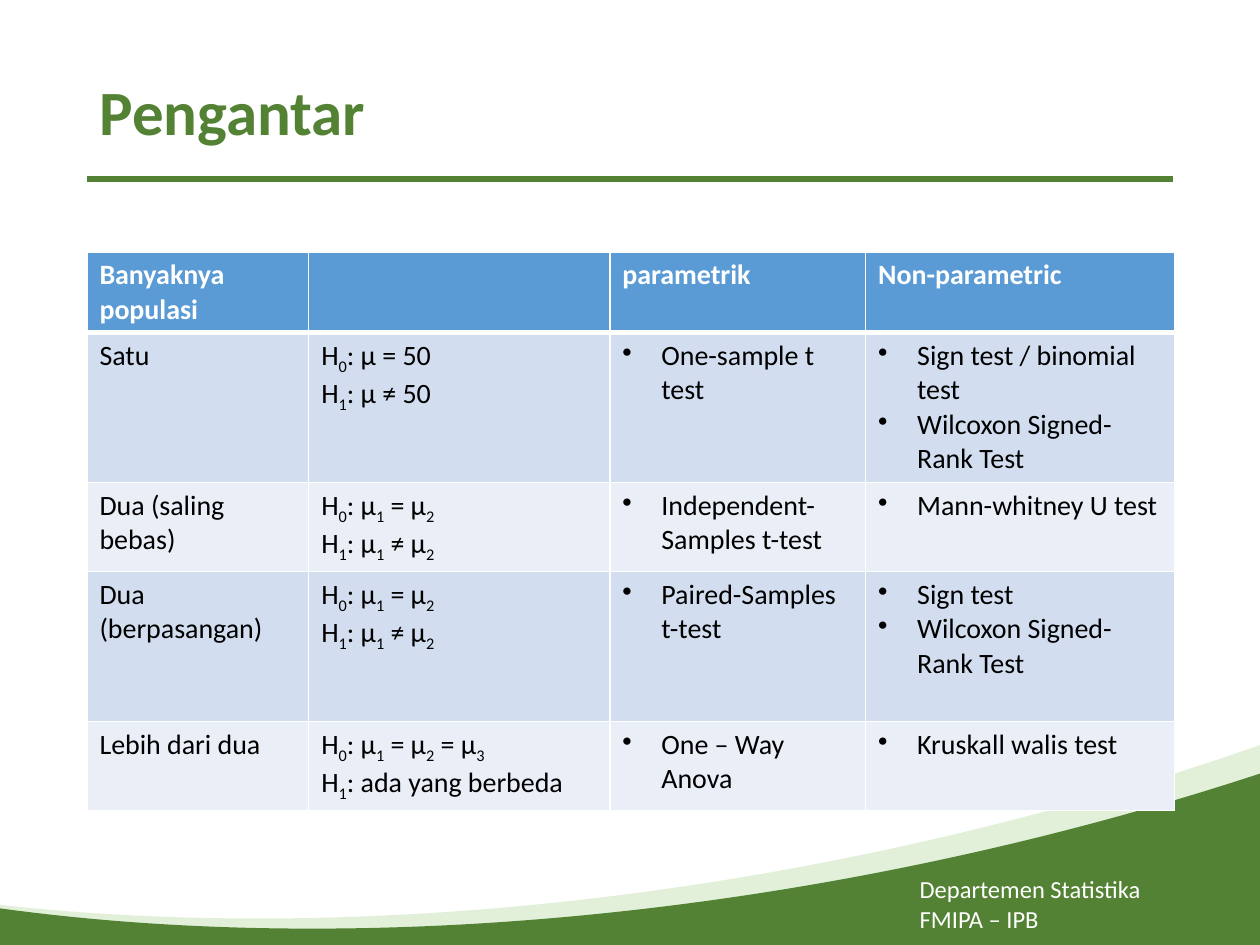
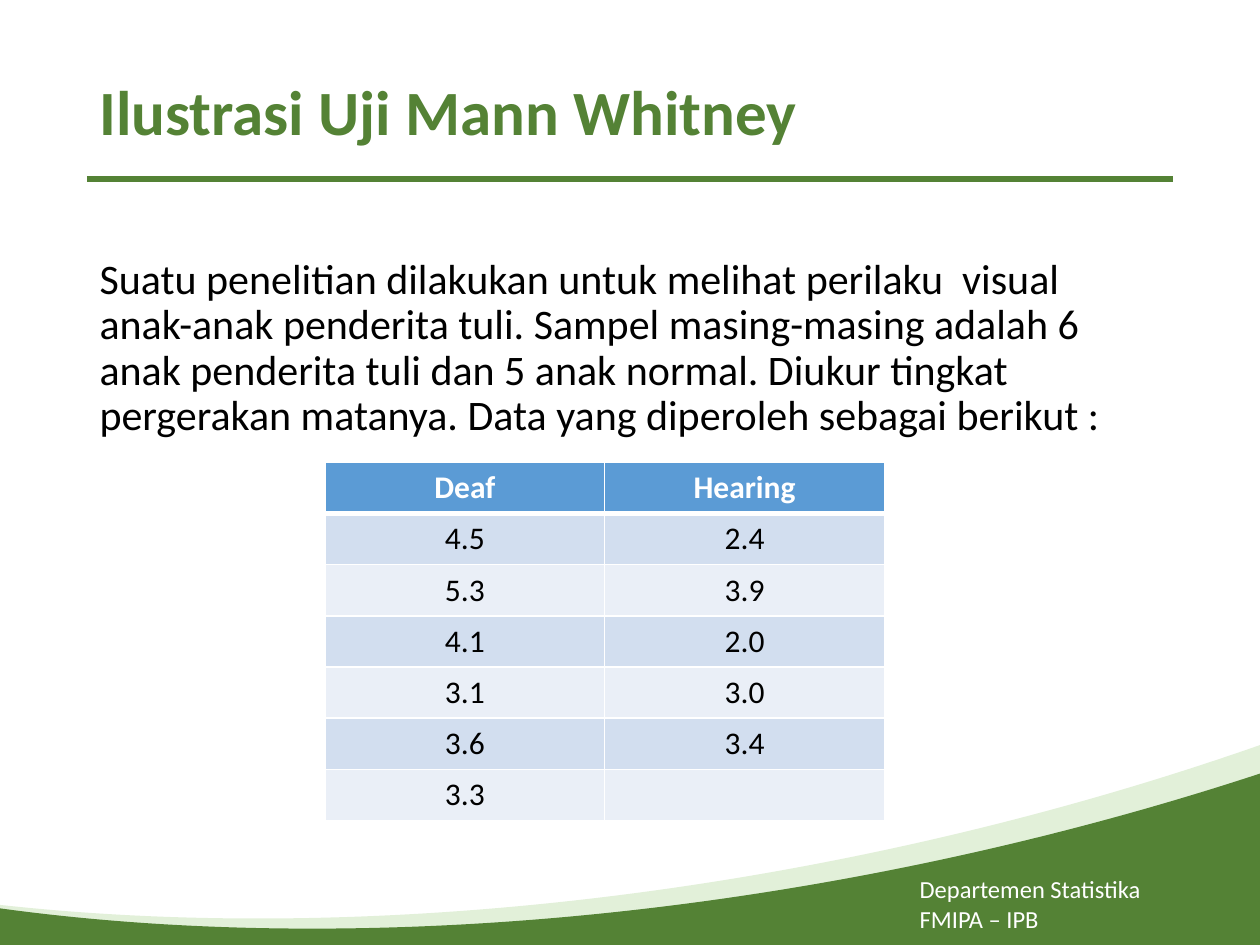
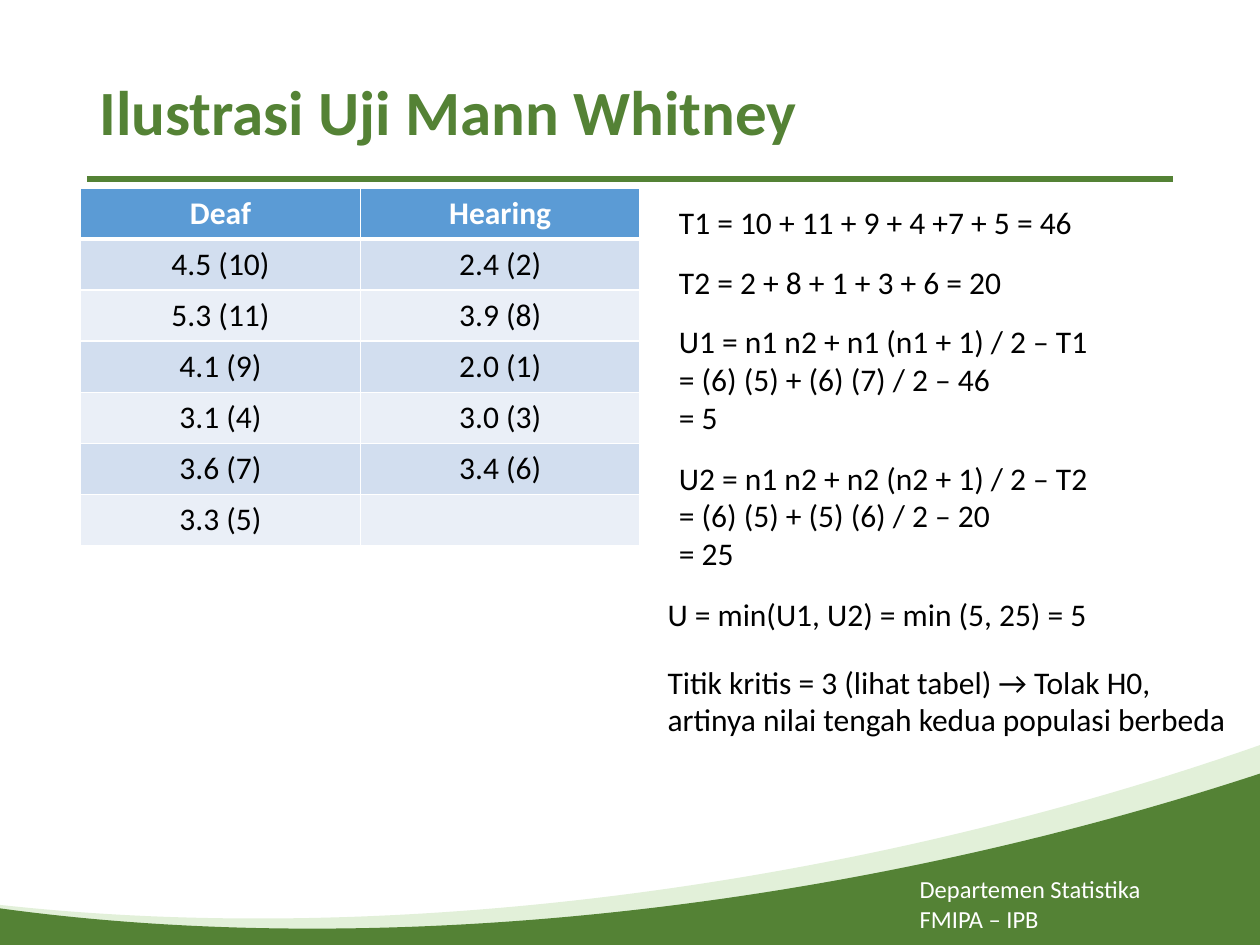
from pptx import Presentation, util as u
from pptx.dml import color
from pptx.enum import shapes, text
from pptx.oxml import ns, xmlchemy

GREEN, PALE, WHITE, BLACK = "548235", "E2F0D9", "FFFFFF", "000000"
HEADER, BANDS = "5B9BD5", ("D2DEEF", "EAEFF7")
FONT = "Calibri"
COLUMNS, ROWS = 100, 75
MARGIN, CONTENT = 6.9, 86.2
BULLET_INDENT = u.Inches(0.31)
SLIDE_SIZE = u.Inches(10), u.Inches(7.5)


def rgb(code):
    return color.RGBColor.from_string(code)


def add_child(parent, tag, **attributes):
    child = xmlchemy.OxmlElement(tag)
    for name, value in attributes.items():
        child.set(name, str(value))
    parent.append(child)
    return child


def write(frame, lines, size=18, ink=BLACK, bold=False, centered=False,
          bulleted=False, spacing=1.0, anchor=text.MSO_ANCHOR.TOP):
    frame.word_wrap = True
    frame.vertical_anchor = anchor
    for index, line in enumerate(lines):
        paragraph = frame.add_paragraph() if index else frame.paragraphs[0]
        properties = paragraph._p.get_or_add_pPr()
        indent = BULLET_INDENT if bulleted else 0
        properties.set("marL", str(indent))
        properties.set("indent", str(-indent))
        if bulleted:
            add_child(properties, "a:buChar", char="•")
        else:
            add_child(properties, "a:buNone")
        paragraph.alignment = text.PP_ALIGN.CENTER if centered else text.PP_ALIGN.LEFT
        paragraph.line_spacing = spacing
        paragraph.space_before = u.Pt(0)
        plain, *marked = line.split("_")
        pieces = [(plain, False)]
        for part in marked:
            pieces += [(part[0], True), (part[1:], False)]
        for wording, subscript in pieces:
            if not wording:
                continue
            run = paragraph.add_run()
            run.text = wording
            run.font.name, run.font.size, run.font.bold = FONT, u.Pt(size), bold
            run.font.color.rgb = rgb(ink)
            if subscript:
                run._r.get_or_add_rPr().set("baseline", "-25000")


class Deck:
    def __init__(self):
        self.presentation = Presentation()
        self.presentation.slide_width, self.presentation.slide_height = SLIDE_SIZE
        self.slide = None

    def place(self, column, row, wide, high):
        across, down = SLIDE_SIZE[0] / COLUMNS, SLIDE_SIZE[1] / ROWS
        return [round(n) for n in (column * across, row * down, wide * across, high * down)]

    def new_slide(self, heading, layout="Title Only"):
        layouts = self.presentation.slide_layouts
        self.slide = self.presentation.slides.add_slide(layouts.get_by_name(layout))
        self.swoosh(49.7, -9.3, PALE)
        self.swoosh(54, -8.5, GREEN)
        self.rule(MARGIN, 14.2, CONTENT)
        self.note(72, 68.9, 22.2, 5.7, ["Departemen Statistika", "FMIPA – IPB"],
                  size=14, ink=WHITE)
        self.placeholder(0, (MARGIN, 4, CONTENT, 10.2), [heading], size=36, ink=GREEN,
                         bold=True, spacing=0.9, anchor=text.MSO_ANCHOR.MIDDLE)

    def placeholder(self, idx, area, lines, **style):
        holder = self.slide.placeholders[idx]
        holder.left, holder.top, holder.width, holder.height = self.place(*area)
        holder.text_frame.auto_size = text.MSO_AUTO_SIZE.NONE
        write(holder.text_frame, lines, **style)

    def swoosh(self, column, row, fill):
        moon = self.slide.shapes.add_shape(
            shapes.MSO_SHAPE.MOON, *self.place(column, row, 38.7, 162.8))
        moon.adjustments[0] = 0.611
        moon.rotation = 258.4
        moon.shadow.inherit = False
        moon.fill.solid()
        moon.fill.fore_color.rgb = rgb(fill)
        moon.line.fill.background()

    def rule(self, column, row, wide):
        left, top, width, _ = self.place(column, row, wide, 0)
        line = self.slide.shapes.add_connector(
            shapes.MSO_CONNECTOR.STRAIGHT, left, top, left + width, top)
        line.line.color.rgb = rgb(GREEN)
        line.line.width = u.Pt(3)
        add_child(line._element.spPr, "a:effectLst")

    def note(self, column, row, wide, high, lines, **style):
        box = self.slide.shapes.add_textbox(*self.place(column, row, wide, high))
        write(box.text_frame, lines, **style)

    def border(self, cell, **widths):
        properties = cell._tc.get_or_add_tcPr()
        for side in "LRTB":
            edge = add_child(properties, f"a:ln{side}", w=u.Pt(widths.get(side, 1)))
            add_child(add_child(edge, "a:solidFill"), "a:srgbClr", val=WHITE)

    def table(self, column, row, widths, heights, records, size=18,
              centered=False, bullets_from=None):
        area = self.place(column, row, sum(widths), sum(heights))
        grid = self.slide.shapes.add_table(len(records), len(widths), *area).table
        for track, wide in zip(grid.columns, widths):
            track.width = self.place(0, 0, wide, 0)[2]
        for r, (track, high, record) in enumerate(zip(grid.rows, heights, records)):
            track.height = self.place(0, 0, 0, high)[3]
            for c, content in enumerate(record):
                cell = grid.cell(r, c)
                self.border(cell, **({"B": 3} if r == 0 else {"T": 3} if r == 1 else {}))
                cell.fill.solid()
                cell.fill.fore_color.rgb = rgb(BANDS[(r - 1) % 2] if r else HEADER)
                bulleted = r > 0 and bullets_from is not None and c >= bullets_from
                write(cell.text_frame, content.split("\n"), size=size,
                      ink=BLACK if r else WHITE, bold=r == 0,
                      centered=centered, bulleted=bulleted)

    def eye_movement(self, column, row, records):
        samples = [("Deaf", "Hearing"), *records]
        self.table(column, row, [22.2] * 2, [4.06] * len(samples), samples, centered=True)


TESTS = [
    ("Banyaknya populasi", "", "parametrik", "Non-parametric"),
    ("Satu", "H_0: µ = 50\nH_1: µ ≠ 50", "One-sample t test",
     "Sign test / binomial test\nWilcoxon Signed-Rank Test"),
    ("Dua (saling bebas)", "H_0: µ_1 = µ_2\nH_1: µ_1 ≠ µ_2",
     "Independent-Samples t-test", "Mann-whitney U test"),
    ("Dua (berpasangan)", "H_0: µ_1 = µ_2\nH_1: µ_1 ≠ µ_2",
     "Paired-Samples t-test", "Sign test\nWilcoxon Signed-Rank Test"),
    ("Lebih dari dua", "H_0: µ_1 = µ_2 = µ_3\nH_1: ada yang berbeda",
     "One – Way Anova", "Kruskall walis test"),
]
SCORES = [("4.5", "2.4"), ("5.3", "3.9"), ("4.1", "2.0"),
          ("3.1", "3.0"), ("3.6", "3.4"), ("3.3", "")]
RANKS = [(10, 2), (11, 8), (9, 1), (4, 3), (7, 6), (5, None)]
ILLUSTRATION = "Ilustrasi Uji Mann Whitney"
STUDY = ("Suatu penelitian dilakukan untuk melihat perilaku  visual anak-anak penderita "
         "tuli. Sampel masing-masing adalah 6 anak penderita tuli dan 5 anak normal. "
         "Diukur tingkat pergerakan matanya. Data yang diperoleh sebagai berikut :")
CALCULATION = [
    (52.9, 15.6, 36.7, 4, ["T1 = 10 + 11 + 9 + 4 +7 + 5 = 46"]),
    (52.9, 20.4, 36.7, 4, ["T2 = 2 + 8 + 1 + 3 + 6 = 20"]),
    (52.9, 25.1, 36.7, 10.1, ["U1 = n1 n2 + n1 (n1 + 1) / 2 – T1",
                              "= (6) (5) + (6) (7) / 2 – 46", "= 5"]),
    (52.9, 35.9, 36.7, 10.1, ["U2 = n1 n2 + n2 (n2 + 1) / 2 – T2",
                              "= (6) (5) + (5) (6) / 2 – 20", "= 25"]),
    (52, 46.7, 38.3, 4, ["U = min(U1, U2) = min (5, 25) = 5"]),
    (52, 52.1, 47.5, 7.1, ["Titik kritis = 3 (lihat tabel) → Tolak H0, "
                           "artinya nilai tengah kedua populasi berbeda"]),
]


def main():
    deck = Deck()

    deck.new_slide("Pengantar")
    deck.table(MARGIN, 20, [17.6, 23.9, 20.3, 24.5], [6.4, 11.9, 7, 11.9, 7],
               TESTS, size=16, bullets_from=2)

    deck.new_slide(ILLUSTRATION, "Title and Content")
    deck.placeholder(1, (MARGIN, 20, CONTENT, 47.6), [STUDY], size=24, spacing=0.9)
    deck.eye_movement(25.8, 36.7, SCORES)

    deck.new_slide(ILLUSTRATION)
    ranked = [[f"{score} ({rank})" if score else "" for score, rank in zip(*pair)]
              for pair in zip(SCORES, RANKS)]
    deck.eye_movement(6.4, 14.9, ranked)
    for step in CALCULATION:
        deck.note(*step)

    deck.presentation.save("out.pptx")


if __name__ == "__main__":
    main()
